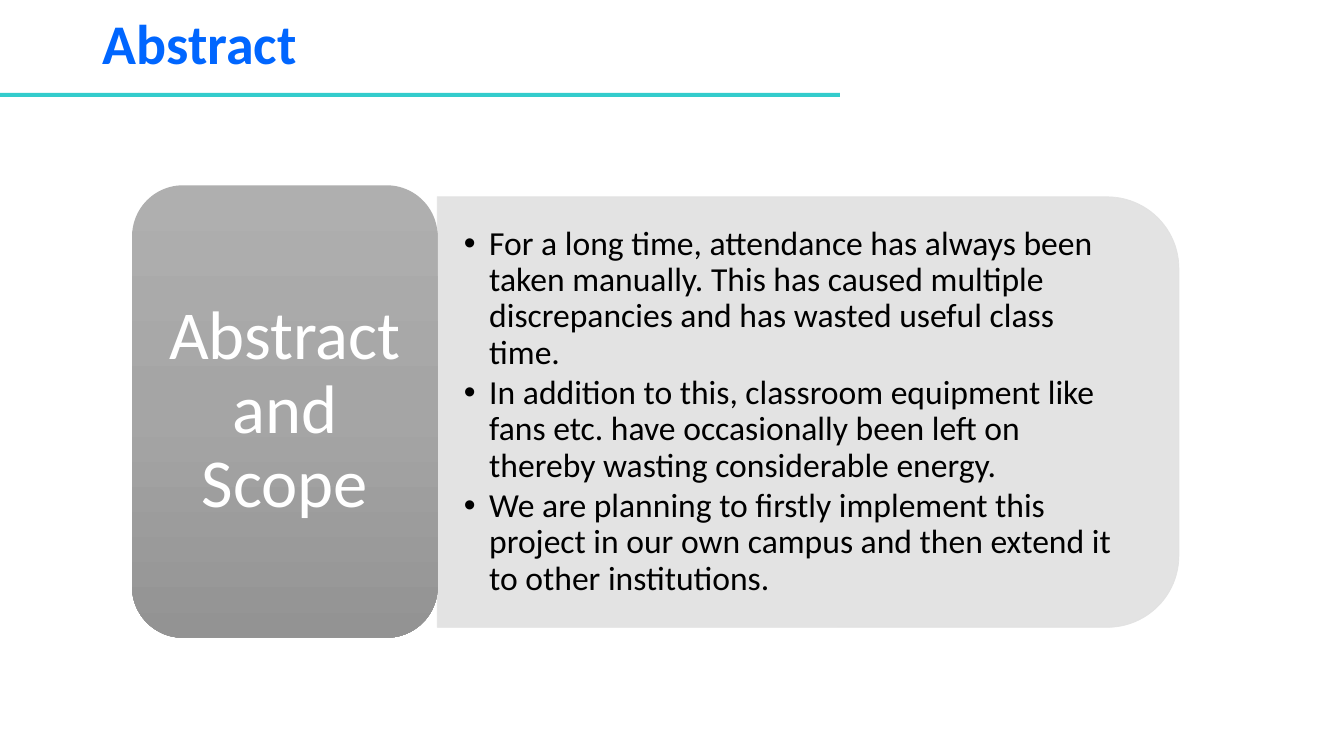
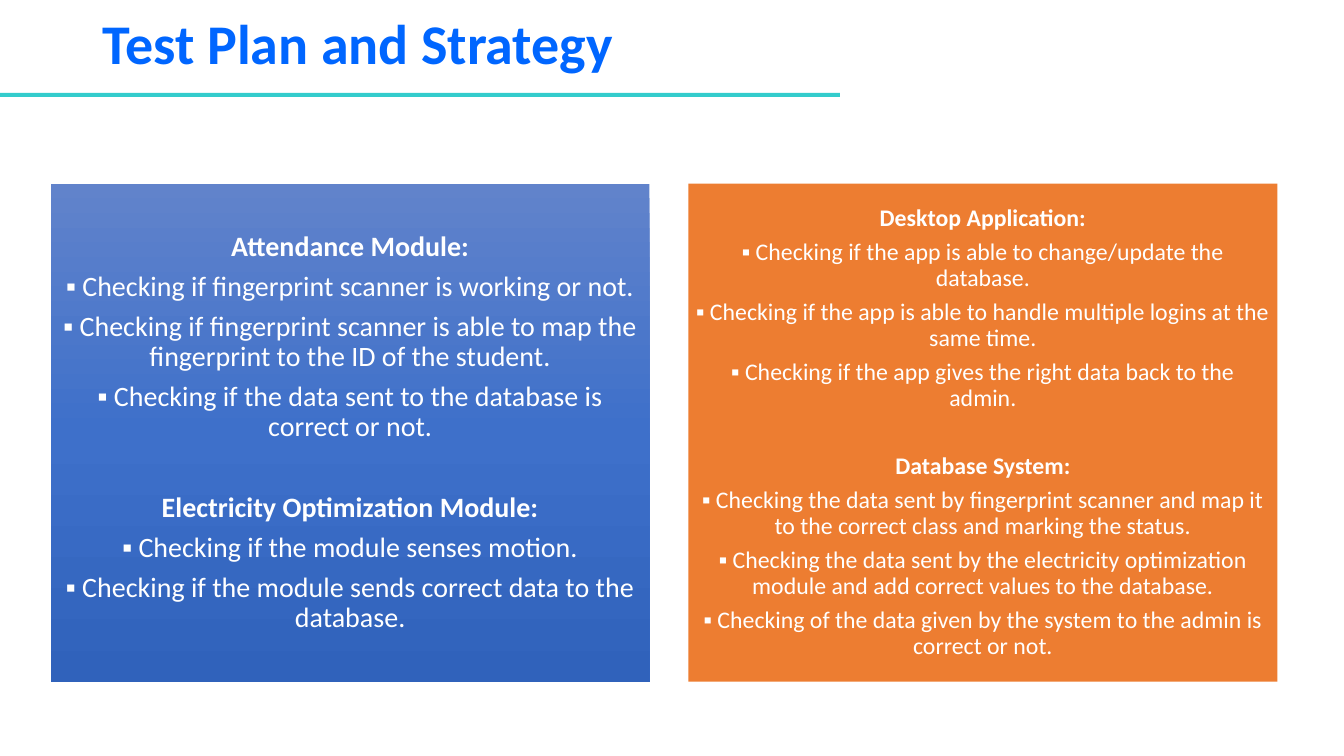
from copy import deepcopy

from lxml.etree import SubElement
from pptx import Presentation
from pptx.dml.color import RGBColor
from pptx.enum.shapes import MSO_SHAPE
from pptx.enum.text import MSO_ANCHOR, PP_ALIGN
from pptx.oxml.ns import qn
from pptx.util import Cm, Pt

FONT = "Calibri"
COLORS = {
    "title": "0066FF",
    "band": "33CCCC",
    "panel": "E1E1E1",
    "orange": "ED7D31",
    "white": "FFFFFF",
    "black": "000000",
}
GRAY_GRADIENT = ["AFAFAF", "A5A5A5", "939393"]
BLUE_GRADIENT = ["6183CB", "3E70CA", "3062BB"]


def add_block(slide, place, geometry=None, colors=(), inset=(0.25, 0.13)):
    """Add a shape, or a text box without geometry; three colors make a vertical gradient."""
    lengths = [Cm(value) for value in place]
    if geometry is None:
        shape = slide.shapes.add_textbox(*lengths)
    else:
        shape = slide.shapes.add_shape(geometry, *lengths)
        shape.shadow.inherit = False
        shape.line.fill.background()
        if len(colors) == 1:
            shape.fill.solid()
            shape.fill.fore_color.rgb = RGBColor.from_string(colors[0])
        else:
            shape.fill.gradient()
            shape.fill.gradient_angle = 270
            first_stop = next(shape._element.spPr.iter(qn("a:gs")))
            first_stop.addnext(deepcopy(first_stop))
            for index, stop in enumerate(shape.fill.gradient_stops):
                stop.position = index / (len(colors) - 1)
                stop.color.rgb = RGBColor.from_string(colors[index])
    frame = shape.text_frame
    frame.word_wrap = True
    frame.vertical_anchor = MSO_ANCHOR.MIDDLE
    frame.margin_left = frame.margin_right = Cm(inset[0])
    frame.margin_top = frame.margin_bottom = Cm(inset[1])
    return shape


def write_text(shape, text, size, color, bold=False, align=PP_ALIGN.LEFT,
               before=0, after=0, bullet=None):
    """Append one paragraph, filling the first one while it is still empty."""
    frame = shape.text_frame
    paragraph = frame.paragraphs[0] if not frame.text else frame.add_paragraph()
    paragraph.alignment = align
    paragraph.line_spacing = 0.9
    paragraph.space_before = Pt(before)
    paragraph.space_after = Pt(after)
    if bullet:
        properties = paragraph._p.get_or_add_pPr()
        properties.set("marL", str(Cm(0.64)))
        properties.set("indent", str(-Cm(0.64)))
        SubElement(properties, qn("a:buFont"), typeface="Arial")
        SubElement(properties, qn("a:buChar"), char=bullet)
    run = paragraph.add_run()
    run.text = text
    run.font.name = FONT
    run.font.size = Pt(size)
    run.font.bold = bold
    run.font.color.rgb = RGBColor.from_string(COLORS[color])


presentation = Presentation()
presentation.slide_width = Cm(33.87)
presentation.slide_height = Cm(19.05)

# Title and band on every slide
slides = []
for title in ["Abstract", "Test Plan and Strategy"]:
    slide = presentation.slides.add_slide(presentation.slide_layouts[6])
    add_block(slide, (0, 2.34, 21.17, 0.1), MSO_SHAPE.RECTANGLE, [COLORS["band"]])
    title_box = add_block(slide, (2.34, 0, 29.21, 2.34))
    write_text(title_box, title, 40, "title", bold=True)
    slides.append(slide)
abstract_slide, test_slide = slides

# Abstract: label on the left, panel with rounded right corners
panel = add_block(abstract_slide, (14.94, 1.04, 10.85, 18.69),
                  MSO_SHAPE.ROUND_2_SAME_RECTANGLE, [COLORS["panel"]])
panel.rotation = 90
panel.line.color.rgb = RGBColor.from_string(COLORS["panel"])
panel.line.width = Pt(0.5)
for color_element in panel._element.spPr.iter(qn("a:srgbClr")):
    SubElement(color_element, qn("a:alpha"), val="90000")

points_box = add_block(abstract_slide, (11, 5.49, 18.16, 9.78), inset=(0.69, 0.36))
for point in [
    "For a long time, attendance has always been taken manually. This has caused "
    "multiple discrepancies and has wasted useful class time.",
    "In addition to this, classroom equipment like fans etc. have occasionally been "
    "left on thereby wasting considerable energy.",
    "We are planning to firstly implement this project in our own campus and then "
    "extend it to other institutions.",
]:
    write_text(points_box, point, 24, "black", after=3, bullet="•")

label = add_block(abstract_slide, (3.33, 4.67, 7.7, 11.4),
                  MSO_SHAPE.ROUNDED_RECTANGLE, GRAY_GRADIENT, inset=(0.5, 0.25))
write_text(label, "Abstract and Scope", 49, "white", align=PP_ALIGN.CENTER)

# Test plan: two cards of headed checks
attendance_checks = [
    ("Attendance Module:", [
        "▪ Checking if fingerprint scanner is working or not.",
        "▪ Checking if fingerprint scanner is able to map the fingerprint to the ID "
        "of the student.",
        "▪ Checking if the data sent to the database is correct or not.",
    ]),
    ("Electricity Optimization Module:", [
        "▪ Checking if the module senses motion.",
        "▪ Checking if the module sends correct data to the database.",
    ]),
]
application_checks = [
    ("Desktop Application:", [
        "▪ Checking if the app is able to change/update the database.",
        "▪ Checking if the app is able to handle multiple logins at the same time.",
        "▪ Checking if the app gives the right data back to the admin.",
    ]),
    ("Database System:", [
        "▪ Checking the data sent by fingerprint scanner and map it to the correct "
        "class and marking the status.",
        "▪ Checking the data sent by the electricity optimization module and add "
        "correct values to the database.",
        "▪ Checking of the data given by the system to the admin is correct or not.",
    ]),
]
for left, width, colors, size, inset, sections in [
    (1.28, 15.09, BLUE_GRADIENT, 20, 0.2, attendance_checks),
    (17.35, 14.84, [COLORS["orange"]], 17, 0.17, application_checks),
]:
    card = add_block(test_slide, (left, 4.63, width, 12.55), MSO_SHAPE.RECTANGLE,
                     colors, inset=(inset, inset))
    card_format = {"size": size, "color": "white", "align": PP_ALIGN.CENTER,
                   "after": round(size * 0.35)}
    for index, (heading, checks) in enumerate(sections):
        write_text(card, heading, bold=True, before=index * size * 1.44, **card_format)
        for check in checks:
            write_text(card, check, **card_format)

presentation.save("out.pptx")
